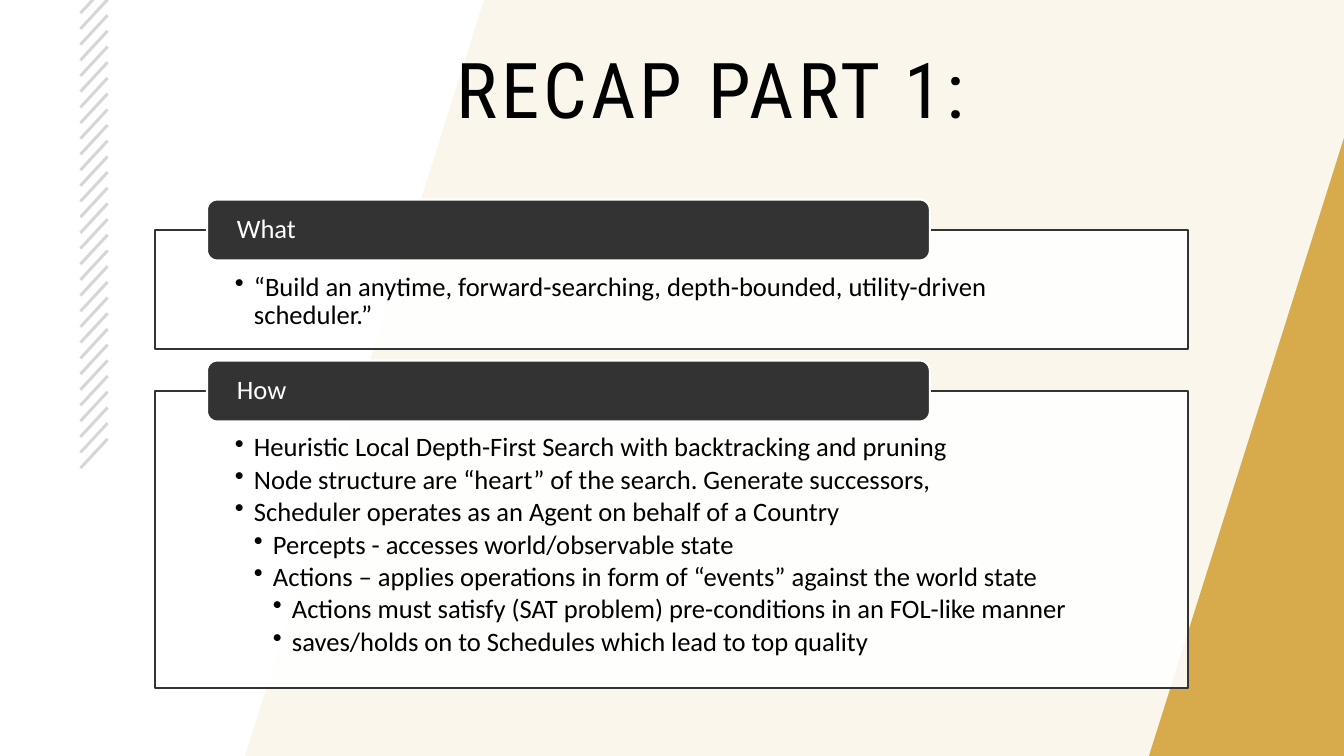
from lxml.etree import SubElement
from pptx import Presentation
from pptx.dml.color import RGBColor
from pptx.enum.shapes import MSO_SHAPE
from pptx.enum.text import MSO_ANCHOR, PP_ALIGN
from pptx.oxml.ns import qn
from pptx.util import Pt

TITLE = "RECAP PART 1:"
SECTIONS = [
    ("What", 230, 119, [
        (1, "“Build an anytime, forward-searching, depth-bounded, utility-driven scheduler.”"),
    ]),
    ("How", 391, 297, [
        (1, "Heuristic Local Depth-First Search with backtracking and pruning"),
        (1, "Node structure are “heart” of the search. Generate successors,"),
        (1, "Scheduler operates as an Agent on behalf of a Country"),
        (2, "Percepts - accesses world/observable state"),
        (2, "Actions – applies operations in form of “events” against the world state"),
        (3, "Actions must satisfy (SAT problem) pre-conditions in an FOL-like manner"),
        (3, "saves/holds on to Schedules which lead to top quality"),
    ]),
]

WIDTH, HEIGHT = 1344, 756
BAND = [(484, 0), (WIDTH, 0), (WIDTH, HEIGHT), (245, HEIGHT)]
STRIPES, STRIPE_TOP, STRIPE_SPAN = 30, -3, 455
PANEL_LEFT, PANEL_WIDTH = 155, 1033
TAB_LEFT, TAB_WIDTH, TAB_HEIGHT = 207, 723, 61
INDENT = 19

GOLD = RGBColor(0xD7, 0xAB, 0x4C)
SLATE = RGBColor(0x33, 0x33, 0x3D)
CHARCOAL = RGBColor(0x33, 0x33, 0x33)
WHITE = RGBColor(0xFF, 0xFF, 0xFF)
BLACK = RGBColor(0, 0, 0)


def px(length):
    return round(length * 914400 / 100.8)


def paint(shape, color, opacity=100, line=None, weight=1):
    shape.shadow.inherit = False
    shape.fill.solid()
    shape.fill.fore_color.rgb = color
    if opacity < 100:
        tint = shape.element.spPr.find(qn("a:solidFill"))[0]
        SubElement(tint, qn("a:alpha"), val=str(opacity * 1000))
    if line is None:
        shape.line.fill.background()
    else:
        shape.line.color.rgb = line
        shape.line.width = Pt(weight)


def add_box(page, kind, left, top, width, height):
    return page.shapes.add_shape(kind, px(left), px(top), px(width), px(height))


def set_frame(shape, anchor, left, top, right, bottom):
    frame = shape.text_frame
    frame.word_wrap = True
    frame.vertical_anchor = anchor
    frame.margin_left, frame.margin_top = px(left), px(top)
    frame.margin_right, frame.margin_bottom = px(right), px(bottom)
    return frame


def style(para, text, size, font, color, align=PP_ALIGN.LEFT):
    para.text = text
    para.alignment = align
    para.line_spacing = 0.9
    para.font.size = Pt(size)
    para.font.name = font
    para.font.color.rgb = color


def add_bullet(para, level):
    para.level = level
    properties = para._p.get_or_add_pPr()
    properties.set("marL", str(px(INDENT * level)))
    properties.set("indent", str(px(-INDENT)))
    bullet = SubElement(properties, qn("a:buChar"), char="•")
    properties.find(qn("a:defRPr")).addprevious(bullet)


def add_backdrop(page):
    builder = page.shapes.build_freeform(*BAND[0], scale=px(1000) / 1000)
    builder.add_line_segments(BAND[1:], close=True)
    paint(builder.convert_to_shape(), GOLD, 10)
    corner = add_box(page, MSO_SHAPE.RIGHT_TRIANGLE, 1149, 138, 195, 618)
    corner.element.spPr.get_or_add_xfrm().set("flipH", "1")
    paint(corner, GOLD)
    for index in range(STRIPES):
        top = STRIPE_TOP + index * STRIPE_SPAN / (STRIPES - 1)
        stripe = add_box(page, MSO_SHAPE.RECTANGLE, 74, top, 40, 3)
        stripe.rotation = 132.8
        paint(stripe, SLATE, 20)


def add_title(page):
    box = page.shapes.add_textbox(px(155), px(47), px(1112), px(169))
    para = set_frame(box, MSO_ANCHOR.TOP, 10, 5, 10, 5).paragraphs[0]
    style(para, TITLE, 55, "Roboto Condensed", BLACK, PP_ALIGN.CENTER)
    para.runs[0].font._element.set("spc", "300")


def add_section(page, heading, top, height, items):
    panel = add_box(page, MSO_SHAPE.RECTANGLE, PANEL_LEFT, top, PANEL_WIDTH, height)
    paint(panel, WHITE, 90, CHARCOAL)
    frame = set_frame(panel, MSO_ANCHOR.TOP, 80, 43, 80, 15)
    for index, (level, text) in enumerate(items):
        para = frame.add_paragraph() if index else frame.paragraphs[0]
        style(para, text, 19, "Calibri", BLACK)
        para.space_after = Pt(2.6)
        add_bullet(para, level)
    tab = add_box(page, MSO_SHAPE.ROUNDED_RECTANGLE,
                  TAB_LEFT, top - TAB_HEIGHT / 2, TAB_WIDTH, TAB_HEIGHT)
    paint(tab, CHARCOAL, 100, WHITE, 1.5)
    label = set_frame(tab, MSO_ANCHOR.MIDDLE, 27, 0, 27, 0).paragraphs[0]
    style(label, heading, 19, "Calibri", WHITE)


def main():
    deck = Presentation()
    deck.slide_width, deck.slide_height = px(WIDTH), px(HEIGHT)
    page = deck.slides.add_slide(deck.slide_layouts[6])
    add_backdrop(page)
    add_title(page)
    for section in SECTIONS:
        add_section(page, *section)
    deck.save("out.pptx")


if __name__ == "__main__":
    main()
